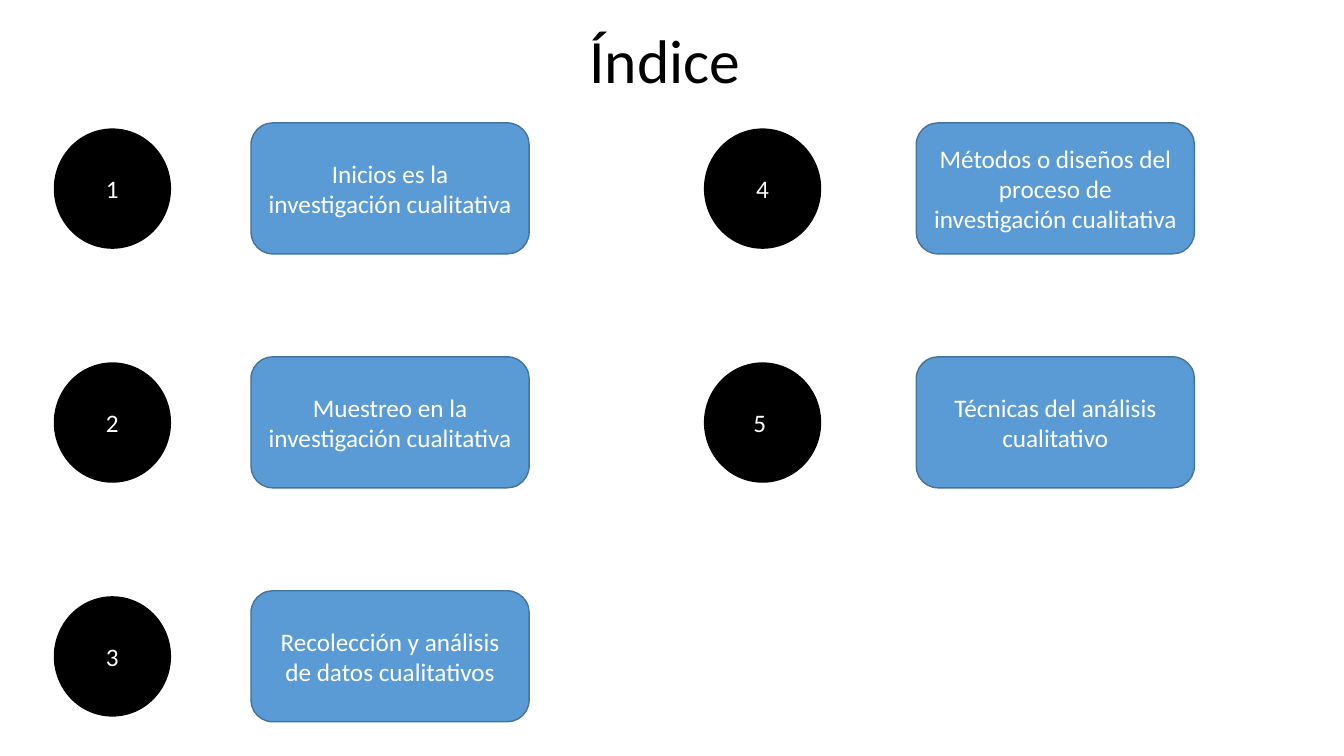
from dataclasses import dataclass

from pptx import Presentation
from pptx.dml.color import RGBColor
from pptx.enum import shapes, text
from pptx.slide import Slide
from pptx.text.text import TextFrame
from pptx.util import Pt

BLACK = RGBColor(0x00, 0x00, 0x00)
WHITE = RGBColor(0xFF, 0xFF, 0xFF)
BLUE = RGBColor(0x5B, 0x9B, 0xD5)
DARK_BLUE = RGBColor(0x43, 0x73, 0x9E)
FONT = "Calibri"
ROWS = 3
ROW_PITCH = 167.1


@dataclass(frozen=True)
class Style:
    preset: shapes.MSO_SHAPE
    lefts: tuple[float, float]
    top: float
    width: float
    height: float
    fill: RGBColor
    line: RGBColor


@dataclass(frozen=True)
class Topic:
    number: str
    label: str


CIRCLE = Style(shapes.MSO_SHAPE.OVAL, (38.9, 503.3), 92.2, 82.8, 85, BLACK, BLACK)
BOX = Style(shapes.MSO_SHAPE.ROUNDED_RECTANGLE, (179.3, 654.5), 87.8, 198.7, 93.6,
            BLUE, DARK_BLUE)

TOPICS = [
    Topic("1", "Inicios es la investigación cualitativa"),
    Topic("2", "Muestreo en la investigación cualitativa"),
    Topic("3", "Recolección y análisis de datos cualitativos"),
    Topic("4", "Métodos o diseños del proceso de investigación cualitativa"),
    Topic("5 ", "Técnicas del análisis cualitativo"),
]


def write_text(tf: TextFrame, content: str, size: float, color: RGBColor) -> None:
    tf.text = content
    tf.word_wrap = True
    tf.vertical_anchor = text.MSO_ANCHOR.MIDDLE
    p = tf.paragraphs[0]
    p.alignment = text.PP_ALIGN.CENTER
    p.font.name = FONT
    p.font.size = Pt(size)
    p.font.color.rgb = color


def add_title(s: Slide, content: str) -> None:
    sp = s.shapes.title
    sp.left, sp.top, sp.width, sp.height = Pt(66), Pt(9.4), Pt(828), Pt(72)
    write_text(sp.text_frame, content, 44, BLACK)
    sp.text_frame.paragraphs[0].line_spacing = 0.9


def add_item(s: Slide, style: Style, index: int, content: str) -> None:
    column, row = divmod(index, ROWS)
    sp = s.shapes.add_shape(style.preset, Pt(style.lefts[column]),
                            Pt(style.top + row * ROW_PITCH),
                            Pt(style.width), Pt(style.height))
    sp.shadow.inherit = False
    sp.fill.solid()
    sp.fill.fore_color.rgb = style.fill
    sp.line.color.rgb = style.line
    sp.line.width = Pt(1)
    write_text(sp.text_frame, content, 18, WHITE)


def main() -> None:
    prs = Presentation()
    prs.slide_width, prs.slide_height = Pt(960), Pt(540)
    s = prs.slides.add_slide(prs.slide_layouts.get_by_name("Title Only"))
    add_title(s, "Índice ")
    for index, topic in enumerate(TOPICS):
        add_item(s, CIRCLE, index, topic.number)
        add_item(s, BOX, index, topic.label)
    prs.save("out.pptx")


if __name__ == "__main__":
    main()
